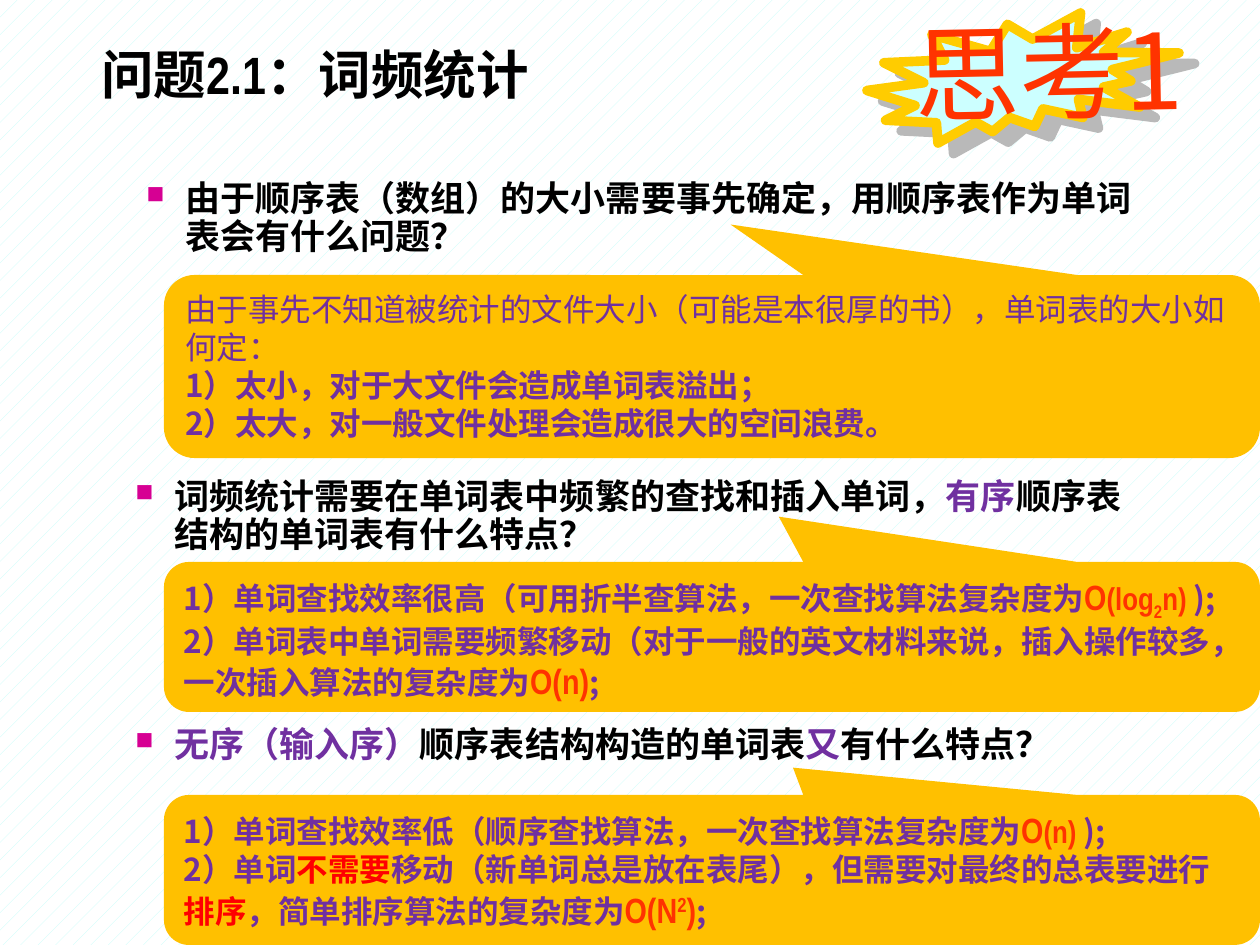
from lxml.etree import SubElement
from pptx import Presentation
from pptx.dml.color import RGBColor
from pptx.enum.dml import MSO_PATTERN
from pptx.enum.shapes import MSO_SHAPE
from pptx.enum.text import MSO_ANCHOR
from pptx.oxml.ns import qn
from pptx.util import Emu, Pt

PX = 914400 / 126
BLACK = RGBColor(0x00, 0x00, 0x00)
WHITE = RGBColor(0xFF, 0xFF, 0xFF)
MINT = RGBColor(0xC1, 0xFE, 0xF9)
CYAN = RGBColor(0xCC, 0xFF, 0xFF)
GOLD = RGBColor(0xFF, 0xCC, 0x00)
AMBER = RGBColor(0xFF, 0xC0, 0x00)
PLUM = RGBColor(0x70, 0x30, 0xA0)
ORANGE = RGBColor(0xFF, 0x33, 0x00)
RED = RGBColor(0xFF, 0x00, 0x00)
SLIM, SANS, KANJI = "Arial Narrow", "Noto Sans CJK SC", "Noto Sans CJK JP"


def area(*px):
    return [Emu(round(n * PX)) for n in px]


def write(para, text, color, size=18, face=SANS, bold=True, base=0):
    run = para.add_run()
    run.text = text
    font = run.font
    font.size, font.bold, font.name = Pt(size), bold, face
    font.color.rgb = color
    props = run._r.get_or_add_rPr()
    props.set("lang", "zh-CN")
    if base:
        props.set("baseline", str(base * 1000))
    east = KANJI if face == KANJI else SANS
    SubElement(props, qn("a:ea"), typeface=east)


deck = Presentation()
deck.slide_width, deck.slide_height = area(1260, 945)
slide = deck.slides.add_slide(deck.slide_layouts[6])
shapes = slide.shapes

# Background
back = slide.background.fill
back.patterned()
back.pattern = MSO_PATTERN.PERCENT_5
back.fore_color.rgb, back.back_color.rgb = MINT, WHITE

# Title
frame = shapes.add_textbox(*area(89, 21, 1129, 116)).text_frame
frame.word_wrap = True
frame.vertical_anchor = MSO_ANCHOR.MIDDLE
para = frame.paragraphs[0]
para.line_spacing = 0.8
write(para, "问题2.1：词频统计", BLACK, 30, SLIM)

# Burst badge
badge = shapes.add_group_shape().shapes
burst = badge.add_shape(MSO_SHAPE.EXPLOSION2, *area(867, 13, 312, 130))
burst.fill.solid()
burst.fill.fore_color.rgb = CYAN
burst.line.color.rgb, burst.line.width = GOLD, Pt(5.5)
burst.shadow.inherit = False
glow = burst._element.spPr.find(qn("a:effectLst"))
shade = SubElement(glow, qn("a:outerShdw"), blurRad="0", dist=str(Pt(10.8)),
                   dir=str(34 * 60000), algn="ctr", rotWithShape="0")
SubElement(shade, qn("a:srgbClr"), val="B9B9B9")
word = badge.add_textbox(*area(902, 0, 358, 139))
word.rotation = 358.9
word.text_frame.word_wrap = True
write(word.text_frame.paragraphs[0], "思考1", ORANGE, 60, KANJI, False)

# Questions: left, top, width, runs
asks = [
    (134, 175, 1022, [("由于顺序表（数组）的大小需要事先确定，用顺序表作为单词表会有什么问题？", BLACK)]),
    (123, 473, 1032, [("词频统计需要在单词表中频繁的查找和插入单词，", BLACK),
                      ("有序", PLUM),
                      ("顺序表结构的单词表有什么特点？", BLACK)]),
    (123, 721, 1032, [("无序（输入序）", PLUM),
                      ("顺序表结构构造的单词表", BLACK),
                      ("又", PLUM),
                      ("有什么特点？", BLACK)]),
]

# Answers: top, height, pointer tip, paragraphs of runs
tips = [
    (275, 183, (0.017, -0.776), [
        [("由于事先不知道被统计的文件大小（可能是本很厚的书），单词表的大小如何定：", PLUM, 18, SANS, False)],
        [("1）太小，对于大文件会造成单词表溢出；", PLUM)],
        [("2）太大，对一般文件处理会造成很大的空间浪费。", PLUM)]]),
    (562, 150, (0.061, -0.802), [
        [("1）单词查找效率很高（可用折半查算法，一次查找算法复杂度为", PLUM),
         ("O", ORANGE, 20, SLIM),
         ("(log", ORANGE, 18, SLIM),
         ("2", ORANGE, 18, SLIM, True, -25),
         ("n) ", ORANGE, 18, SLIM),
         (");", PLUM)],
        [("2）单词表中单词需要频繁移动（对于一般的英文材料来说，插入操作较多，一次插入算法的复杂度为", PLUM),
         ("O(n)", ORANGE, 20, SLIM),
         (";", PLUM)]]),
    (795, 150, (0.074, -0.682), [
        [("1）单词查找效率低（顺序查找算法，一次查找算法复杂度为", PLUM),
         ("O", ORANGE, 20, SLIM),
         ("(n) ", ORANGE, 18, SLIM),
         (");", PLUM)],
        [("2）单词", PLUM),
         ("不需要", RED),
         ("移动（新单词总是放在表尾），但需要对最终的总表要进行", PLUM),
         ("排序", RED),
         ("，简单排序算法的复杂度为", PLUM),
         ("O(N", ORANGE, 20, SLIM),
         ("2", ORANGE, 20, SLIM, True, 30),
         (")", ORANGE, 20, SLIM),
         (";", PLUM)]]),
]

for (left, top, width, runs), (y, high, tip, paras) in zip(asks, tips):
    # Bulleted question
    frame = shapes.add_textbox(*area(left, top, width, 84)).text_frame
    frame.word_wrap = True
    para = frame.paragraphs[0]
    para.line_spacing = 0.9
    props = para._p.get_or_add_pPr()
    dent = area(39)[0]
    props.set("marL", str(dent))
    props.set("indent", str(-dent))
    SubElement(SubElement(props, qn("a:buClr")), qn("a:srgbClr"), val="D60093")
    SubElement(props, qn("a:buSzPct"), val="70000")
    SubElement(props, qn("a:buChar"), char="■")
    for text, color in runs:
        write(para, text, color, 20, SLIM)

    # Callout answer
    call = shapes.add_shape(MSO_SHAPE.ROUNDED_RECTANGULAR_CALLOUT,
                            *area(164, y, 1096, high))
    call.adjustments[0], call.adjustments[1] = tip
    call.shadow.inherit = False
    call.fill.solid()
    call.fill.fore_color.rgb = AMBER
    call.line.fill.background()
    frame = call.text_frame
    frame.word_wrap = True
    frame.vertical_anchor = MSO_ANCHOR.TOP
    for i, runs in enumerate(paras):
        para = frame.add_paragraph() if i else frame.paragraphs[0]
        para.alignment = 1  # left
        for run in runs:
            write(para, *run)

deck.save("out.pptx")
